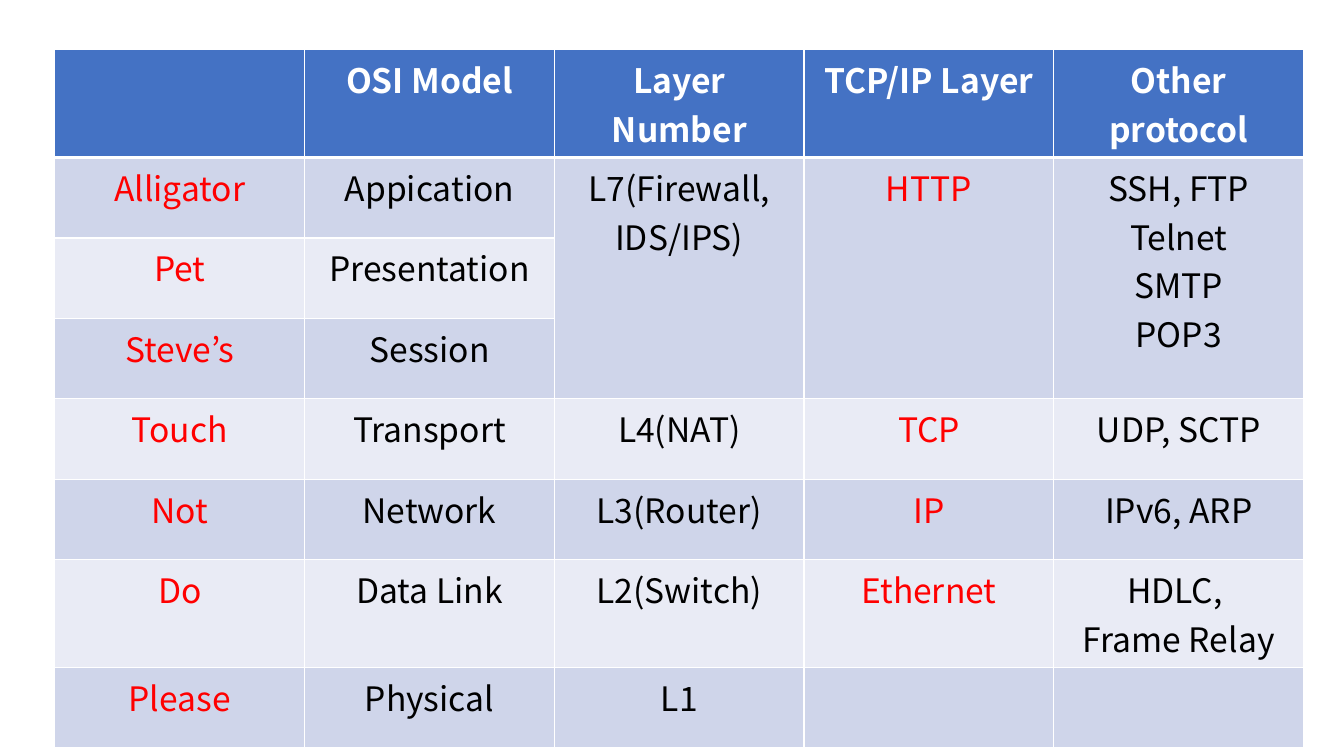
from dataclasses import dataclass

import lxml.etree
import pptx
import pptx.dml.color
import pptx.enum.text
import pptx.oxml.ns
import pptx.table
import pptx.util


@dataclass(frozen=True)
class Theme:
    font: str = "Noto Sans CJK KR"
    text_size: float = 24
    header_fill: str = "4472C4"
    odd_fill: str = "CFD5EA"
    even_fill: str = "E9EBF5"
    header_text: str = "FFFFFF"
    body_text: str = "000000"
    accent_text: str = "FF0000"
    border: str = "FFFFFF"
    thin_border: float = 1
    thick_border: float = 3


@dataclass(frozen=True)
class LayerRow:
    mnemonic: str
    osi_model: str
    layer_number: str = ""
    tcp_ip_layer: str = ""
    other_protocol: str = ""

    def texts(self) -> tuple[str, ...]:
        return (self.mnemonic, self.osi_model, self.layer_number,
                self.tcp_ip_layer, self.other_protocol)


THEME = Theme()
TABLE_LEFT, TABLE_TOP = 39.2, 35.6
COLUMN_WIDTH, ROW_HEIGHT = 178.4, 57.5
ACCENT_COLUMNS = (0, 3)
MERGED_COLUMNS = (2, 3, 4)
MERGED_FIRST_ROW, MERGED_LAST_ROW = 1, 3

ROWS = (
    LayerRow("", "OSI Model", "Layer Number", "TCP/IP Layer", "Other protocol"),
    LayerRow("Alligator", "Appication", "L7(Firewall, IDS/IPS)", "HTTP",
             "SSH, FTP\nTelnet\nSMTP\nPOP3"),
    LayerRow("Pet", "Presentation"),
    LayerRow("Steve’s", "Session"),
    LayerRow("Touch", "Transport", "L4(NAT)", "TCP", "UDP, SCTP"),
    LayerRow("Not", "Network", "L3(Router)", "IP", "IPv6, ARP"),
    LayerRow("Do", "Data Link", "L2(Switch)", "Ethernet", "HDLC, \nFrame Relay"),
    LayerRow("Please", "Physical", "L1"),
)


def rgb(value: str) -> pptx.dml.color.RGBColor:
    return pptx.dml.color.RGBColor.from_string(value)


def set_borders(cell: pptx.table._Cell, row: int) -> None:
    """Rule all four sides, with a thick line between header and body."""
    qn = pptx.oxml.ns.qn
    properties = cell._tc.get_or_add_tcPr()
    thick_side = {0: "lnB", 1: "lnT"}.get(row)
    for side in ("lnL", "lnR", "lnT", "lnB"):
        width = THEME.thick_border if side == thick_side else THEME.thin_border
        line = lxml.etree.SubElement(properties, qn(f"a:{side}"),
                                     w=str(pptx.util.Pt(width)))
        fill = lxml.etree.SubElement(line, qn("a:solidFill"))
        lxml.etree.SubElement(fill, qn("a:srgbClr"), val=THEME.border)


def write_text(cell: pptx.table._Cell, text: str, color: str, bold: bool) -> None:
    """Write each line of the text as a centred paragraph."""
    frame = cell.text_frame
    for index, line in enumerate(text.split("\n")):
        para = frame.add_paragraph() if index else frame.paragraphs[0]
        para.alignment = pptx.enum.text.PP_ALIGN.CENTER
        span = para.add_run()
        span.text = line
        span.font.name = THEME.font
        span.font.size = pptx.util.Pt(THEME.text_size)
        span.font.bold = bold
        span.font.color.rgb = rgb(color)


def fill_color(row: int) -> str:
    if row == 0:
        return THEME.header_fill
    return THEME.odd_fill if row % 2 else THEME.even_fill


def text_color(row: int, column: int) -> str:
    if row == 0:
        return THEME.header_text
    return THEME.accent_text if column in ACCENT_COLUMNS else THEME.body_text


def add_layer_table(page: pptx.slide.Slide) -> None:
    column_count = len(ROWS[0].texts())
    table = page.shapes.add_table(
        len(ROWS), column_count,
        pptx.util.Pt(TABLE_LEFT), pptx.util.Pt(TABLE_TOP),
        pptx.util.Pt(COLUMN_WIDTH * column_count),
        pptx.util.Pt(ROW_HEIGHT * len(ROWS)),
    ).table
    for table_column in table.columns:
        table_column.width = pptx.util.Pt(COLUMN_WIDTH)
    for table_row in table.rows:
        table_row.height = pptx.util.Pt(ROW_HEIGHT)
    for row, layer in enumerate(ROWS):
        for column, text in enumerate(layer.texts()):
            cell = table.cell(row, column)
            set_borders(cell, row)
            cell.fill.solid()
            cell.fill.fore_color.rgb = rgb(fill_color(row))
            if text:
                write_text(cell, text, text_color(row, column), bold=row == 0)
    for column in MERGED_COLUMNS:
        table.cell(MERGED_FIRST_ROW, column).merge(table.cell(MERGED_LAST_ROW, column))


def main() -> None:
    deck = pptx.Presentation()
    deck.slide_width = pptx.util.Pt(960)
    deck.slide_height = pptx.util.Pt(540)
    page = deck.slides.add_slide(deck.slide_layouts[6])
    add_layer_table(page)
    deck.save("out.pptx")


if __name__ == "__main__":
    main()
